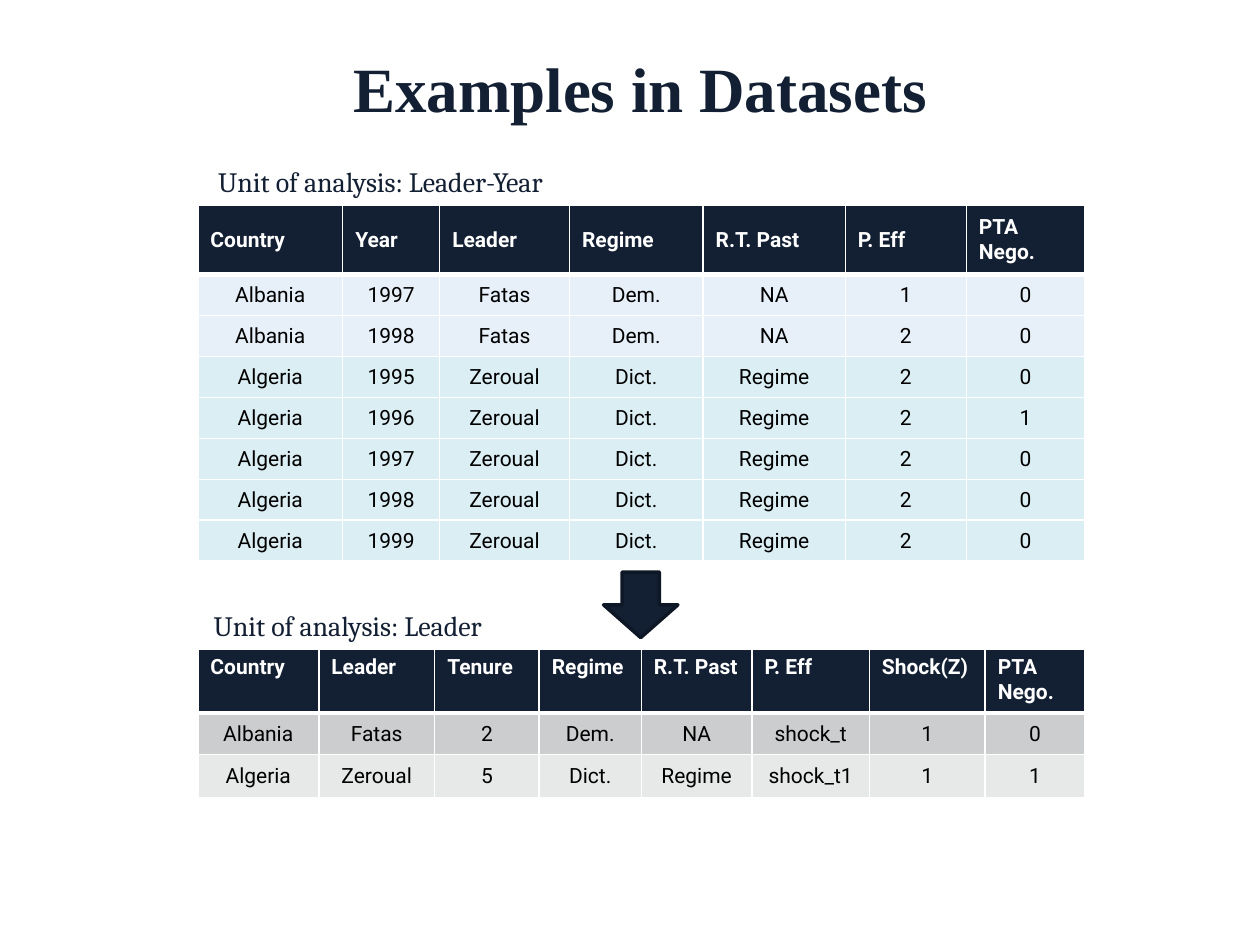
from lxml import etree
from pptx import Presentation
from pptx.dml.color import RGBColor
from pptx.enum.shapes import MSO_SHAPE
from pptx.enum.text import MSO_ANCHOR, PP_ALIGN
from pptx.oxml.ns import qn
from pptx.util import Inches, Pt

CENTER, LEFT = PP_ALIGN.CENTER, PP_ALIGN.LEFT
MIDDLE, TOP = MSO_ANCHOR.MIDDLE, MSO_ANCHOR.TOP
DOWN = MSO_SHAPE.DOWN_ARROW
NAVY, EDGE, WHITE, BLACK = "131F33", "0E1726", "FFFFFF", "000000"
BLUE, AQUA, GRAY, PALE = "E7F0F9", "DBEEF4", "CCCDCE", "E7E8E8"

TITLE = dict(name="Times New Roman", size=Pt(36), bold=True)
LABEL = dict(name="Cambria", size=Pt(16), bold=False)
HEAD = dict(name="Roboto", size=Pt(12), bold=True)
BODY = dict(HEAD, bold=False)

YEAR_HEAD = ["Country", "Year", "Leader", "Regime", "R.T. Past", "P. Eff",
             "PTA\nNego."]
YEAR_COLS = [1.15, 0.77, 1.03, 1.06, 1.13, 0.96, 0.94]
FATAS = [["Albania", str(1997 + i), "Fatas", "Dem.", "NA", str(i + 1), "0"]
         for i in range(2)]
ZEROUAL = [["Algeria", str(year), "Zeroual", "Dict.", "Regime", "2",
            "1" if year == 1996 else "0"] for year in range(1995, 2000)]

LEAD_HEAD = ["Country", "Leader", "Tenure", "Regime", "R.T. Past", "P. Eff",
             "Shock(Z)", "PTA\nNego."]
LEAD_COLS = [0.96, 0.92, 0.83, 0.81, 0.88, 0.93, 0.92, 0.79]
LEAD_ROWS = [
    ["Albania", "Fatas", "2", "Dem.", "NA", "shock_t", "1", "0"],
    ["Algeria", "Zeroual", "5", "Dict.", "Regime", "shock_t1", "1", "1"],
]


def color(part, value):
    part.rgb = RGBColor.from_string(value)


def paint(shape, value):
    shape.fill.solid()
    color(shape.fill.fore_color, value)


def write(frame, text, style, ink, align=CENTER):
    frame.text = text
    for para in frame.paragraphs:
        para.alignment = align
        for run in para.runs:
            for key, value in style.items():
                setattr(run.font, key, value)
            color(run.font.color, ink)


def place(shape, left, top, width, height):
    box = dict(left=left, top=top, width=width, height=height)
    for key, value in box.items():
        setattr(shape, key, Inches(value))


def border(cell, base):
    """Draw white cell edges; base is the bottom width in points."""
    props = cell._tc.get_or_add_tcPr()
    for i, (side, width) in enumerate(
            [("L", 1), ("R", 1), ("T", 1), ("B", base)]):
        line = etree.Element(qn("a:ln" + side), w=str(Pt(width)))
        fill = etree.SubElement(line, qn("a:solidFill"))
        etree.SubElement(fill, qn("a:srgbClr"), val=WHITE)
        props.insert(i, line)


def add_grid(slide, top, cols, heights, rows, fills, anchor):
    """Add a table whose first row is the header."""
    table = slide.shapes.add_table(
        len(rows), len(cols), Inches(1.57), Inches(top),
        Inches(sum(cols)), Inches(sum(heights))).table
    for col, width in zip(table.columns, cols):
        col.width = Inches(width)
    for r, (row, height) in enumerate(zip(table.rows, heights)):
        row.height = Inches(height)
        for cell, text in zip(row.cells, rows[r]):
            paint(cell, fills[r])
            if r == 0:
                cell.vertical_anchor = anchor
                write(cell.text_frame, text, HEAD, WHITE, LEFT)
                border(cell, 3)
                continue
            cell.vertical_anchor = MIDDLE
            for side in ("left", "right", "top"):
                setattr(cell, "margin_" + side, Inches(0.01))
            cell.margin_bottom = 0
            write(cell.text_frame, text, BODY, BLACK)
            border(cell, 1)


def add_label(slide, text, left, top, width):
    box = slide.shapes.add_textbox(
        Inches(left), Inches(top), Inches(width), Inches(0.37))
    box.text_frame.word_wrap = True
    write(box.text_frame, text, LABEL, NAVY)


def add_arrow(slide):
    arrow = slide.shapes.add_shape(
        DOWN, Inches(4.79), Inches(4.54), Inches(0.59), Inches(0.52))
    arrow.shadow.inherit = False
    paint(arrow, NAVY)
    color(arrow.line.color, EDGE)
    arrow.line.width = Pt(2)


def main():
    deck = Presentation()
    deck.slide_width, deck.slide_height = Inches(10), Inches(7.5)
    slide = deck.slides.add_slide(deck.slide_layouts[5])

    # Title
    title = slide.shapes.title
    place(title, 0.54, 0.34, 9.08, 0.7)
    title.text_frame.vertical_anchor = MIDDLE
    write(title.text_frame, "Examples in Datasets", TITLE, NAVY)

    # Leader-year data
    add_grid(slide, 1.63, YEAR_COLS, [0.55] + [0.325] * 7,
             [YEAR_HEAD] + FATAS + ZEROUAL,
             [NAVY] + [BLUE] * 2 + [AQUA] * 5, MIDDLE)
    add_label(slide, "Unit of analysis: Leader-Year", 1.08, 1.26, 3.88)

    # Leader data
    add_grid(slide, 5.15, LEAD_COLS, [0.51, 0.33, 0.34],
             [LEAD_HEAD] + LEAD_ROWS, [NAVY, GRAY, PALE], TOP)
    add_label(slide, "Unit of analysis: Leader", 1.14, 4.78, 3.24)

    add_arrow(slide)
    deck.save("out.pptx")


main()
